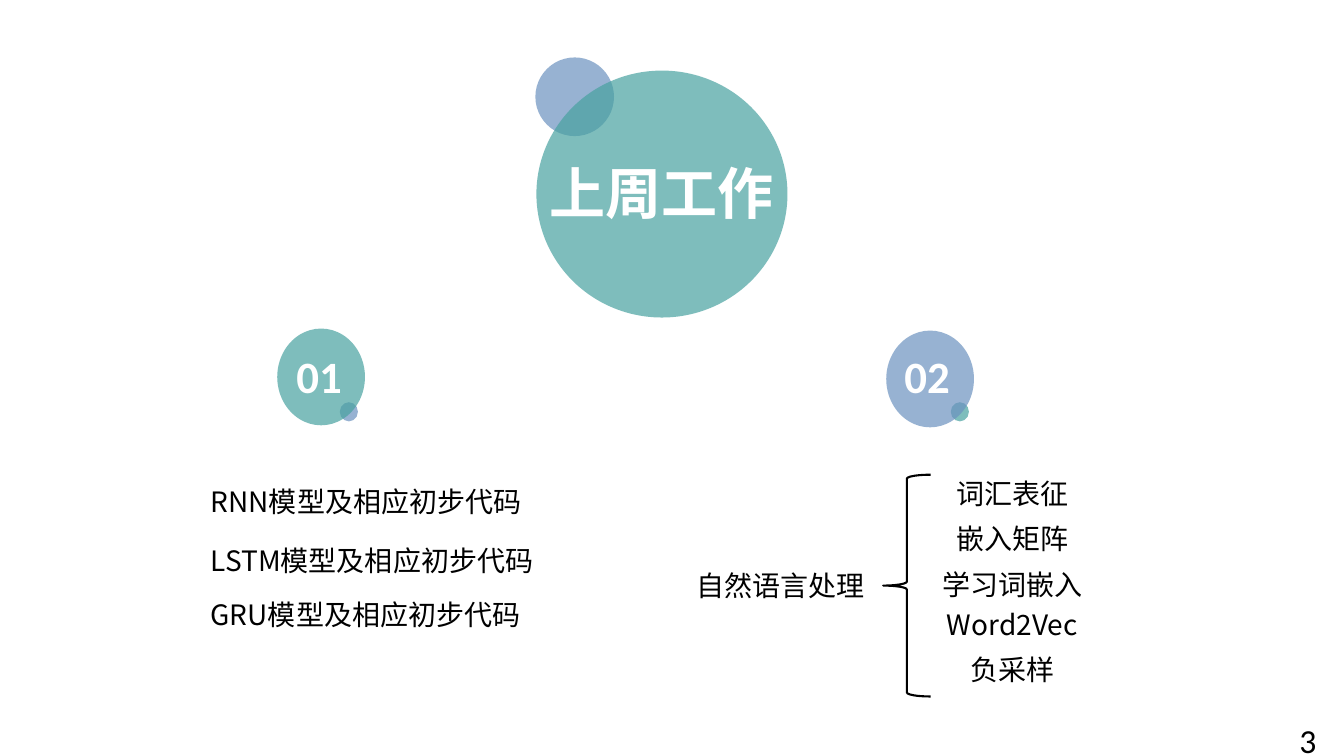
from lxml import etree
from pptx import Presentation
from pptx.dml.color import RGBColor
from pptx.enum.shapes import MSO_SHAPE as SHAPE
from pptx.enum.text import MSO_ANCHOR as ANCHOR, PP_ALIGN as ALIGN
from pptx.oxml.ns import qn
from pptx.util import Inches, Pt

TEAL = RGBColor(0x48, 0xA2, 0xA0)
BLUE = RGBColor(0x6C, 0x92, 0xC0)
WHITE = RGBColor(0xFF, 0xFF, 0xFF)
BLACK = RGBColor(0x00, 0x00, 0x00)
SANS, CALIBRI = "Noto Sans CJK SC", "Calibri"

TITLE = "上周工作"
TITLE_CIRCLES = [(5.31, 0.57, 0.78, 0.78, BLUE), (5.32, 0.7, 2.49, 2.45, TEAL)]
# number, badge left, badge top, dot left, label left, badge colour, dot colour
BADGES = [
    ("01", 2.75, 3.26, 3.37, 2.81, TEAL, BLUE),
    ("02", 8.79, 3.28, 9.43, 8.84, BLUE, TEAL),
]
MODELS = [
    ("RNN模型及相应初步代码", 4.76),
    ("LSTM模型及相应初步代码", 5.34),
    ("GRU模型及相应初步代码", 5.88),
]
TOPIC = "自然语言处理"
SUBTOPICS = [
    ("词汇表征", 4.68),
    ("嵌入矩阵", 5.12),
    ("学习词嵌入", 5.58),
    ("Word2Vec", 5.98),
    ("负采样", 6.42),
]
PAGE = "3"

BODY = dict(size=Pt(20), name=SANS, bold=False)
BADGE = dict(size=Pt(32), name=CALIBRI, bold=True)
HEADING = dict(size=Pt(40), name=SANS, bold=True)
PAGE_NUMBER = dict(size=Pt(24), name=CALIBRI, bold=False)


def write(sp, text, style, color=BLACK, align=ALIGN.CENTER):
    tf = sp.text_frame
    tf.word_wrap = True
    p = tf.paragraphs[0]
    p.alignment = align
    r = p.add_run()
    r.text = text
    for key, value in style.items():
        setattr(r.font, key, value)
    r.font.color.rgb = color
    # East Asian glyphs take their font from a:ea
    ea = etree.SubElement(r.font._element, qn("a:ea"))
    ea.set("typeface", style["name"])


def add_text(slide, box, *args, **kwargs):
    write(slide.shapes.add_textbox(*map(Inches, box)), *args, **kwargs)


def add_circle(slide, left, top, width, height, color):
    """Add a borderless ellipse at 70 % opacity."""
    sp = slide.shapes.add_shape(SHAPE.OVAL, *map(Inches, (left, top, width, height)))
    sp.shadow.inherit = False
    sp.fill.solid()
    sp.fill.fore_color.rgb = color
    sp.line.fill.background()
    clr = sp._element.spPr.find(qn("a:solidFill"))[0]
    etree.SubElement(clr, qn("a:alpha")).set("val", "70000")


def add_brace(slide):
    sp = slide.shapes.add_shape(
        SHAPE.LEFT_BRACE, Inches(8.76), Inches(4.71), Inches(0.47), Inches(2.2))
    sp.shadow.inherit = False
    sp.fill.background()
    sp.line.color.rgb = BLACK
    sp.line.width = Pt(1.5)


def add_title(slide):
    title = slide.shapes.title
    title.left, title.top, title.width, title.height = map(Inches, (5.03, 1.56, 3.07, 0.7))
    title.text_frame.vertical_anchor = ANCHOR.MIDDLE
    write(title, TITLE, HEADING, WHITE)
    slide.shapes._spTree.append(title._element)  # in front of the circles


def main():
    prs = Presentation()
    prs.slide_width, prs.slide_height = Inches(13.33), Inches(7.5)
    slide = prs.slides.add_slide(prs.slide_layouts[5])

    for circle in TITLE_CIRCLES:
        add_circle(slide, *circle)
    add_title(slide)

    for number, left, top, dot_left, label_left, color, dot_color in BADGES:
        add_circle(slide, dot_left, 3.99, 0.18, 0.19, dot_color)
        add_circle(slide, left, top, 0.87, 0.96, color)
        add_text(slide, (label_left, 3.41, 0.71, 0.64), number, BADGE, WHITE)

    for text, top in MODELS:
        add_text(slide, (1.99, top, 3.55, 0.44), text, BODY, align=ALIGN.LEFT)

    add_text(slide, (6.8, 5.59, 1.88, 0.44), TOPIC, BODY)
    add_brace(slide)
    for text, top in SUBTOPICS:
        add_text(slide, (9.24, top, 1.6, 0.44), text, BODY)

    add_text(slide, (12.79, 7.09, 0.54, 0.5), PAGE, PAGE_NUMBER, align=ALIGN.LEFT)
    prs.save("out.pptx")


if __name__ == "__main__":
    main()
